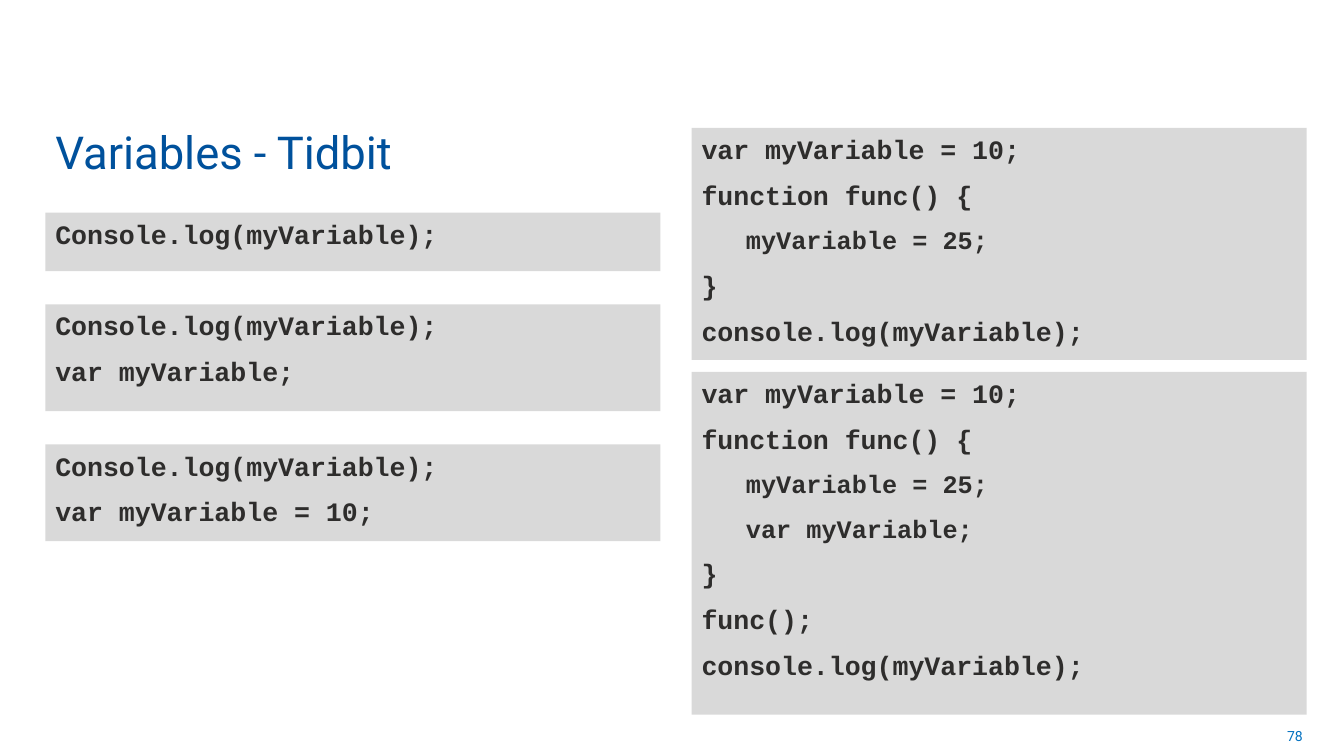
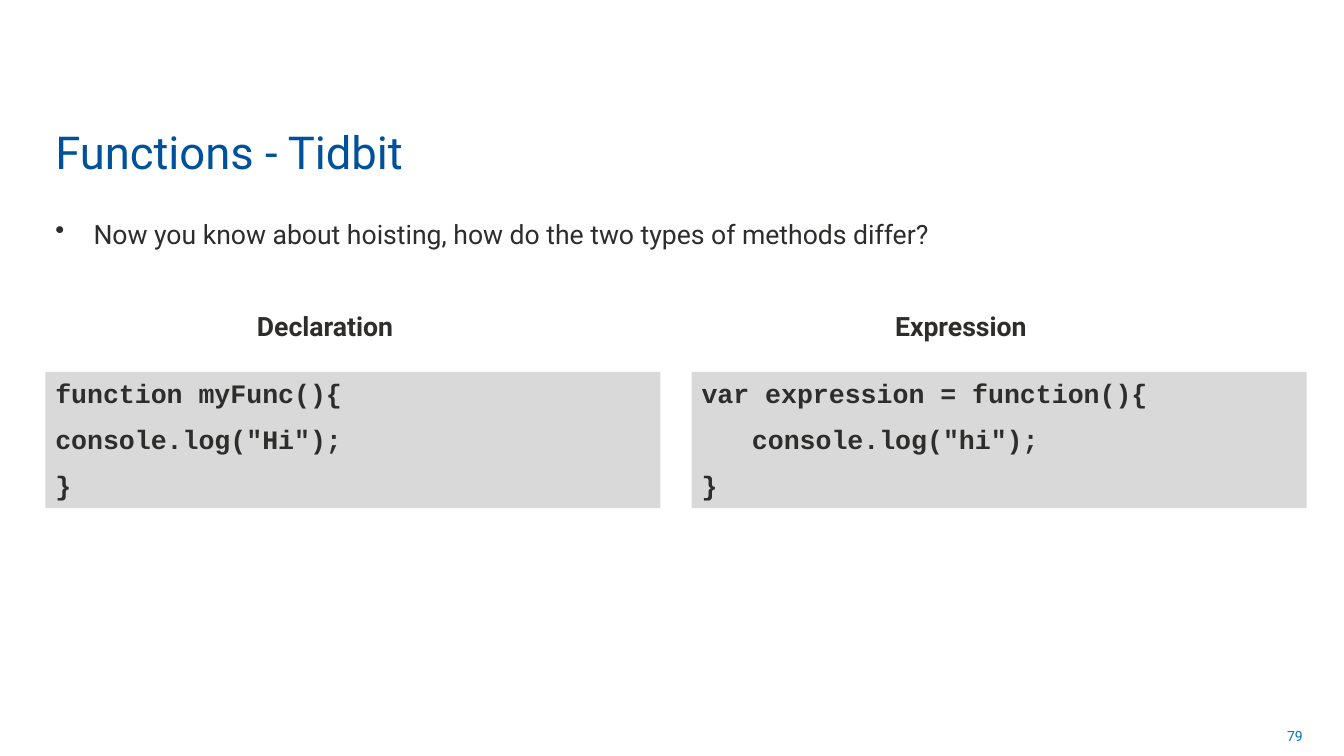
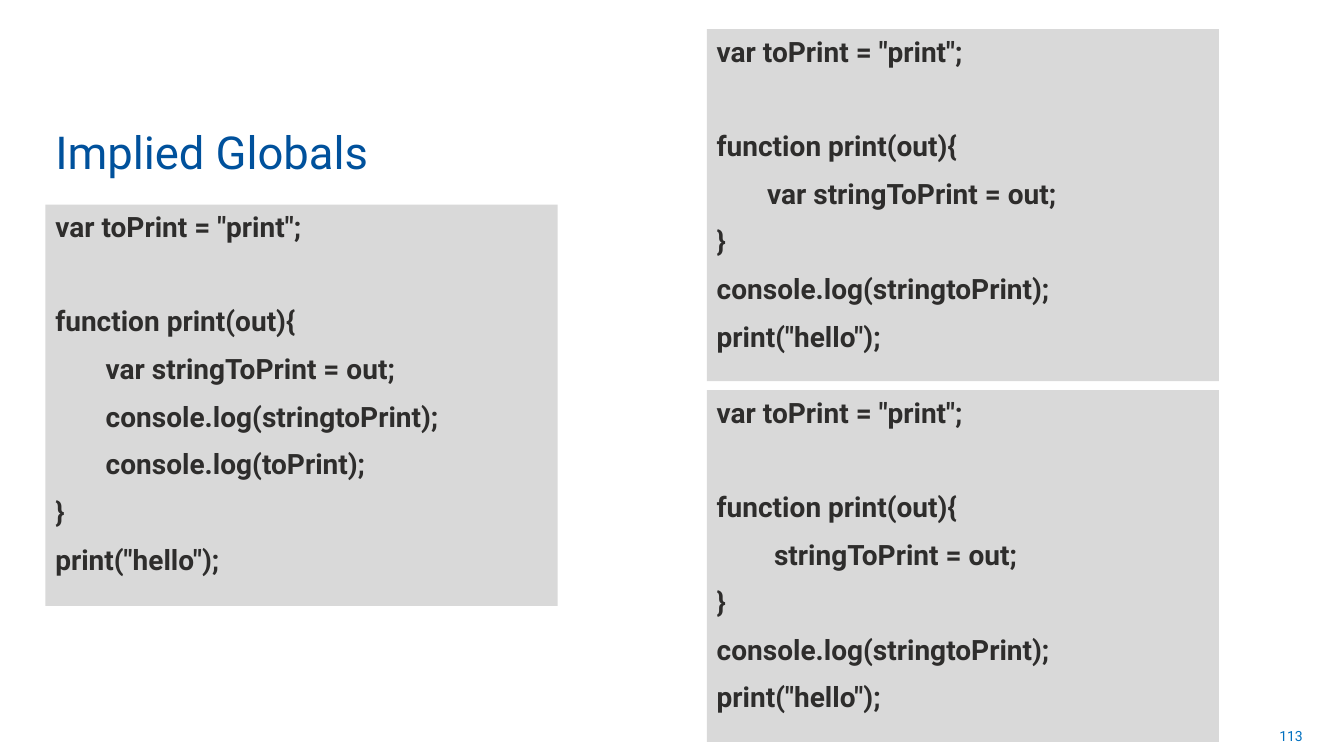
from pptx import Presentation
from pptx.dml.color import RGBColor
from pptx.enum import shapes, text
from pptx.oxml import parse_xml
from pptx.oxml.ns import nsdecls
from pptx.util import Inches, Pt

# Shared look
INK, BLUE, LINK, GREY = "2E2D2C", "00519C", "0070C0", "D9D9D9"
SANS, MONO = "Roboto", "Courier New"
LEFT, RIGHT, WIDE = 0.45, 6.86, 6.1
BLANK = 33.4  # height in points of an empty code line

deck = Presentation()
deck.slide_width, deck.slide_height = Inches(13.33), Inches(7.5)


def style(para, hue, **look):
    para.font.color.rgb = RGBColor.from_string(hue)
    for key, val in look.items():
        setattr(para.font, key, val)


def add_box(slide, area, lines, hue=INK, fill=None, anchor="TOP", align="LEFT", **look):
    """Add a text box, or a filled box of code; an empty line widens the gap."""
    spot = [Inches(n) for n in area]
    if fill:
        box = slide.shapes.add_shape(shapes.MSO_SHAPE.RECTANGLE, *spot)
        box.shadow.inherit = False
        box.fill.solid()
        box.fill.fore_color.rgb = RGBColor.from_string(fill)
        box.line.fill.background()
    else:
        box = slide.shapes.add_textbox(*spot)
    frame = box.text_frame
    frame.word_wrap = True
    frame.vertical_anchor = getattr(text.MSO_ANCHOR, anchor)
    gap = 0
    for line in lines:
        if not line:
            gap += BLANK
            continue
        para = frame.paragraphs[0] if line == lines[0] else frame.add_paragraph()
        para.alignment = getattr(text.PP_ALIGN, align)
        para.space_before, para.space_after = Pt(gap), Pt(8)
        gap = 2
        para.add_run().text = line.removeprefix("  ")
        style(para, hue, **look)
        if line.startswith("  "):  # nested code
            para.level = 1
            para._p.get_or_add_pPr().set("marL", str(Inches(0.44)))
            para.font.size = Pt(18)
    return frame


# Code samples
log = "Console.log(myVariable);"
func = ["var myVariable = 10;", "function func() {", "  myVariable = 25;"]
head = ['var toPrint = "print";', "", "function print(out){"]
tail = ["}", "console.log(stringtoPrint);", 'print("hello");']

# Each slide: title, number, code format, code boxes
mono = dict(name=MONO, size=Pt(19), bold=True)
sans = dict(name=SANS, size=Pt(20), bold=True)
pages = [
    ("Variables - Tidbit", "78", mono, [
        ((LEFT, 4.41, WIDE, 0.96), [log, "var myVariable = 10;"]),
        ((LEFT, 3.02, WIDE, 1.06), [log, "var myVariable;"]),
        ((LEFT, 2.11, WIDE, 0.58), [log]),
        ((RIGHT, 1.27, WIDE, 2.3), func + ["}", "console.log(myVariable);"]),
        ((RIGHT, 3.69, WIDE, 3.4),
         func + ["  var myVariable;", "}", "func();", "console.log(myVariable);"]),
    ]),
    ("Functions - Tidbit", "79", mono, [
        ((LEFT, 3.69, WIDE, 1.35), ["function myFunc(){", 'console.log("Hi");', "}"]),
        ((RIGHT, 3.69, WIDE, 1.35),
         ["var expression = function(){", '\tconsole.log("hi");', "}"]),
    ]),
    ("Implied Globals", "113", sans, [
        ((LEFT, 2.03, 5.08, 3.98),
         head + ["\tvar stringToPrint = out;", "\tconsole.log(stringtoPrint);",
                 "\tconsole.log(toPrint);", "}", 'print("hello");']),
        ((7.01, 0.29, 5.08, 3.49), head + ["\tvar stringToPrint = out;"] + tail),
        ((7.01, 3.87, 5.08, 3.49), head + ["\t stringToPrint = out;"] + tail),
    ]),
]

for title, num, look, boxes in pages:
    slide = deck.slides.add_slide(deck.slide_layouts[6])
    add_box(slide, (9.91, 7.1, 3.11, 0.4), [num], LINK, anchor="MIDDLE",
            align="RIGHT", name=SANS, size=Pt(10)).paragraphs[0].space_after = Pt(0)
    add_box(slide, (LEFT, 1.13, 9.98, 0.69), [title], BLUE, anchor="BOTTOM",
            name=SANS, size=Pt(32.4)).paragraphs[0].space_after = Pt(0)
    for area, lines in boxes:
        add_box(slide, area, lines, fill=GREY, **look)

# Question and column heads on the functions slide
frame = add_box(deck.slides[1], (LEFT, 2.11, 12.47, 4.97), [], name=SANS)
ask, cols = frame.paragraphs[0], frame.add_paragraph()
ask.add_run().text = "Now you know about hoisting, how do the two types of methods differ?"
cols.add_run().text = "\tDeclaration\tExpression"
ask.space_after, cols.space_before = Pt(8), Pt(BLANK + 2)
props = ask._p.get_or_add_pPr()
props.set("marL", str(Inches(0.38)))
props.set("indent", str(Inches(-0.38)))
props.append(parse_xml(f'<a:buChar {nsdecls("a")} char="•"/>'))
stops = "".join(f'<a:tab pos="{Inches(n)}" algn="l"/>' for n in (2, 8.33))
cols._p.get_or_add_pPr().append(parse_xml(f'<a:tabLst {nsdecls("a")}>{stops}</a:tabLst>'))
for para, bold in ((ask, False), (cols, True)):
    style(para, INK, name=SANS, size=Pt(19), bold=bold)

deck.save("out.pptx")
